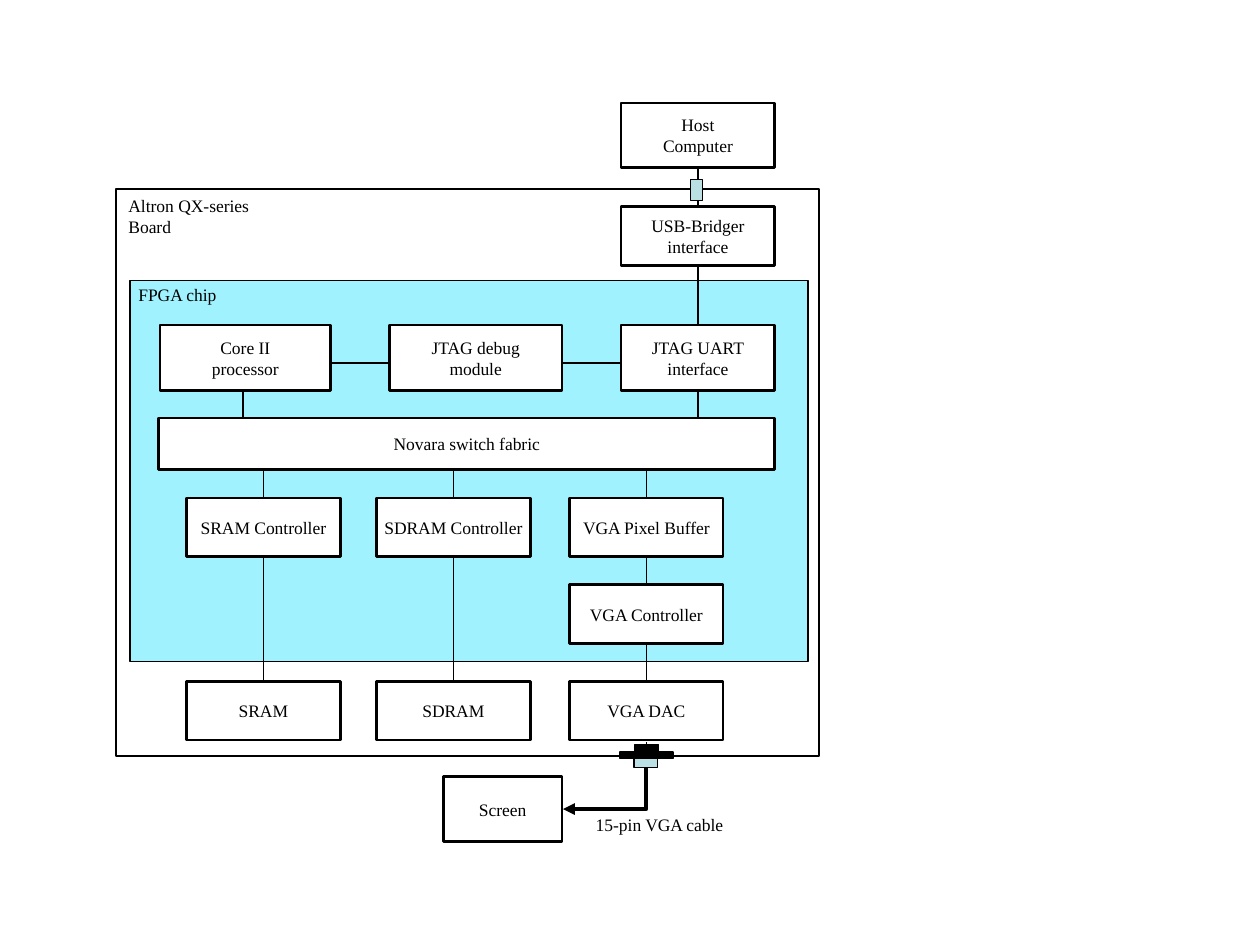
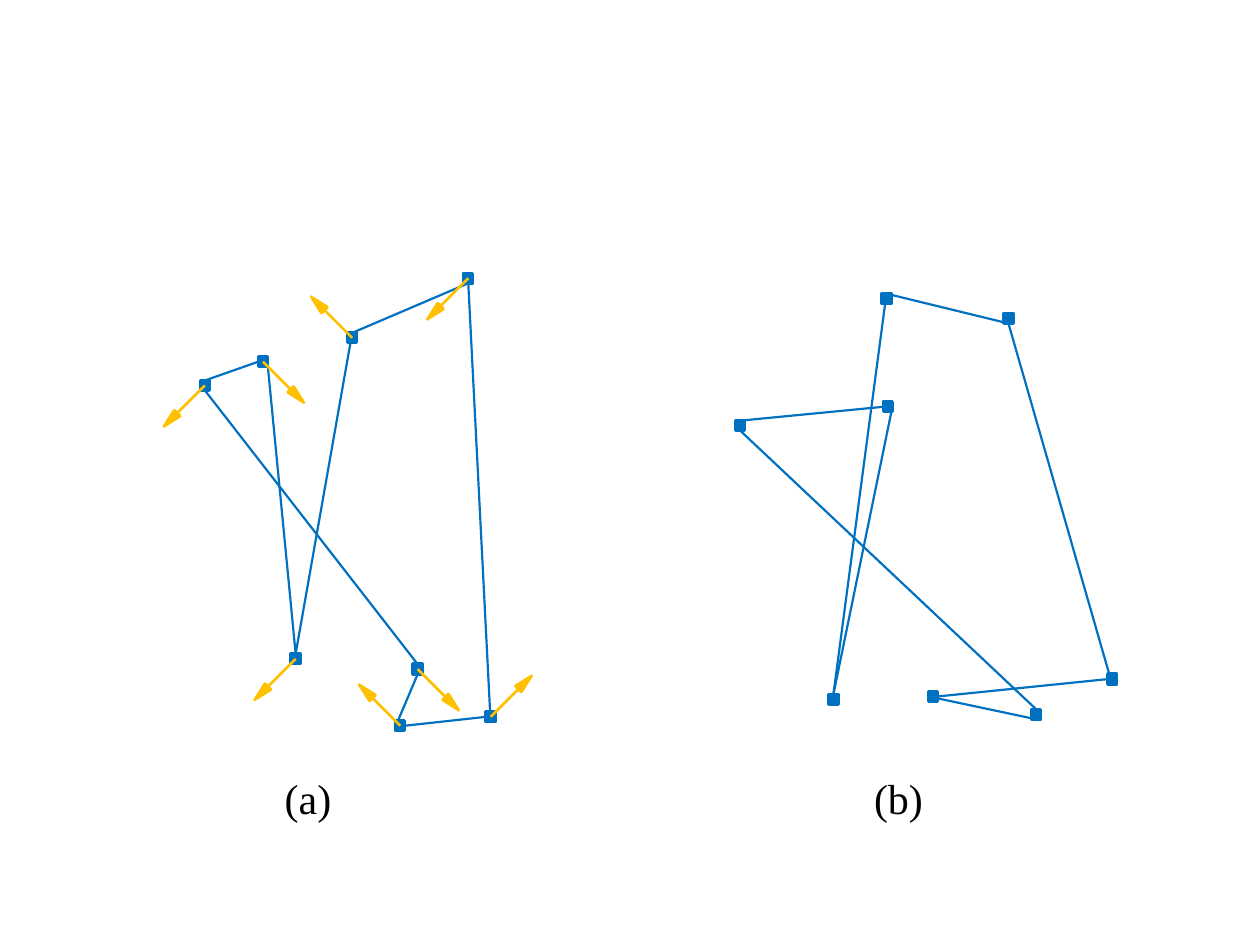
from dataclasses import dataclass
from math import atan2, degrees

from lxml.etree import SubElement
from pptx import Presentation
from pptx.dml.color import RGBColor
from pptx.enum.shapes import MSO_CONNECTOR as Wire, MSO_SHAPE as Form
from pptx.enum.text import MSO_ANCHOR as Anchor, MSO_AUTO_SIZE as Fit, PP_ALIGN as Align
from pptx.oxml.ns import qn
from pptx.util import Cm, Pt


@dataclass(frozen=True)
class Theme:
    font: str = "Times New Roman"
    ink: str = "000000"
    paper: str = "FFFFFF"
    chip: str = "A0F3FE"
    plug: str = "BBE0E3"
    node: str = "0070C0"
    arrow: str = "FFC000"
    label: int = 10
    mark: int = 24
    hair: float = 0.5
    thin: float = 0.75
    edge: float = 1.25
    rim: float = 1.5
    bold: float = 2
    cable: float = 2.25


class Deck:
    """Holds the style and the current slide; all lengths are centimetres."""

    def __init__(self, theme):
        self.theme = theme
        self.prs = Presentation()
        self.prs.slide_width, self.prs.slide_height = Cm(25.4), Cm(19.05)
        self.slide = None

    def page(self):
        self.slide = self.prs.slides.add_slide(self.prs.slide_layouts[6])

    def fill_text(self, frame, text, size, align):
        frame.text = text
        for para in frame.paragraphs:
            para.alignment = align
            for run in para.runs:
                run.font.name = self.theme.font
                run.font.size = Pt(size)
                run.font.color.rgb = RGBColor.from_string(self.theme.ink)

    def shape(self, x, y, w, h, fill, line, width, form=Form.RECTANGLE, host=None):
        item = (host or self.slide).shapes.add_shape(form, Cm(x), Cm(y), Cm(w), Cm(h))
        item.shadow.inherit = False
        if fill:
            item.fill.solid()
            item.fill.fore_color.rgb = RGBColor.from_string(fill)
        else:
            item.fill.background()
        item.line.color.rgb = RGBColor.from_string(line)
        item.line.width = Pt(width)
        return item

    def block(self, text, x, y, w, h):
        t = self.theme
        frame = self.shape(x, y, w, h, t.paper, t.ink, t.rim).text_frame
        frame.word_wrap = False
        frame.vertical_anchor = Anchor.MIDDLE
        self.fill_text(frame, text, t.label, Align.CENTER)

    def label(self, text, x, y, w, h, size, wrap=False):
        frame = self.slide.shapes.add_textbox(Cm(x), Cm(y), Cm(w), Cm(h)).text_frame
        frame.word_wrap = wrap
        frame.auto_size = Fit.SHAPE_TO_FIT_TEXT
        self.fill_text(frame, text, size, Align.LEFT)

    def line(self, x1, y1, x2, y2, color, width, kind=Wire.STRAIGHT, host=None):
        item = (host or self.slide).shapes.add_connector(
            kind, Cm(x1), Cm(y1), Cm(x2), Cm(y2))
        item.line.color.rgb = RGBColor.from_string(color)
        item.line.width = Pt(width)
        SubElement(item._element.spPr, qn("a:effectLst"))
        return item

    def elbow(self, x1, y1, x2, y2):
        """Run down, then left, to an arrowhead: a one-bend connector turned by 90 degrees."""
        w, h = y2 - y1, x1 - x2
        x, y = (x1 + x2 - w) / 2, (y1 + y2 - h) / 2
        item = self.line(x, y, x + w, y + h, self.theme.ink, self.theme.cable, Wire.ELBOW)
        props = item._element.spPr
        props.find(qn("a:xfrm")).set("rot", "5400000")
        props.find(qn("a:prstGeom")).set("prst", "bentConnector2")
        SubElement(props.find(qn("a:ln")), qn("a:tailEnd"), type="triangle")

    def arrow(self, x, y, dx, dy):
        """Draw a diagonal shaft with a slim triangle near its end."""
        reach, back, w, h = 0.84, 0.16, 0.15, 0.33
        t, group = self.theme, self.slide.shapes.add_group_shape()
        self.line(x, y, x + dx * reach, y + dy * reach, t.arrow, t.rim, host=group)
        cx, cy = x + dx * (reach - back), y + dy * (reach - back)
        head = self.shape(cx - w / 2, cy - h / 2, w, h, t.arrow, t.arrow, t.bold,
                          Form.ISOSCELES_TRIANGLE, group)
        head.rotation = degrees(atan2(dx, -dy)) % 360

    def graph(self, spots, links):
        """Draw the nodes and join them at their connection sites."""
        t = self.theme
        nodes = [self.shape(x, y, *NODE, t.node, t.node, t.bold) for x, y in spots]
        for a, side_a, b, side_b in links:
            item = self.line(0, 0, 1, 1, t.node, t.edge)
            item.begin_connect(nodes[a], side_a)
            item.end_connect(nodes[b], side_b)


theme = Theme()
deck = Deck(theme)

# Slide 1: block diagram of the board
deck.page()
deck.shape(2.62, 5.66, 13.67, 7.67, theme.chip, theme.ink, theme.thin)
deck.shape(2.34, 3.81, 14.17, 11.43, None, theme.ink, theme.thin)

# Shared columns and rows
WIDE, LOW, TALL = 3.1, 1.18, 1.32
SRAM, SDRAM, VGA, HOST = 3.76, 7.59, 11.48, 12.52
CORE, CTRL, VIDEO, CHIPS = 6.55, 10.04, 11.79, 13.74
mid = {col: col + WIDE / 2 for col in (SRAM, SDRAM, VGA, HOST)}

# Wires, behind the blocks
for x1, x2 in ((6.63, 7.87), (11.3, HOST)):
    deck.line(x1, 7.32, x2, 7.32, theme.ink, theme.thin)
drops = [
    (mid[HOST], 3.4, 4.14), (mid[HOST], 5.38, CORE),
    (mid[HOST], 7.77, 8.61), (4.9, 7.77, 8.61),
    (mid[VGA], 11.15, 11.96), (mid[VGA], 12.98, CHIPS), (mid[VGA], 14.96, 15.01),
]
drops += [(mid[col], 9.37, 10.19) for col in (SRAM, SDRAM, VGA)]
drops += [(mid[col], 11.23, CHIPS) for col in (SRAM, SDRAM)]
for x, top, end in drops:
    deck.line(x, top, x, end, theme.ink, theme.thin)

# Blocks
for text, x, y, w, h in (
    ("Host\nComputer", HOST, 2.08, WIDE, 1.3),
    ("USB-Bridger\ninterface", HOST, 4.17, WIDE, 1.19),
    ("Core II\nprocessor", 3.23, CORE, 3.43, TALL),
    ("JTAG debug\nmodule", 7.85, CORE, 3.48, TALL),
    ("JTAG UART\ninterface", HOST, CORE, WIDE, TALL),
    ("Novara switch fabric", 3.2, 8.43, 12.42, 1.04),
    ("SRAM Controller", SRAM, CTRL, WIDE, LOW),
    ("SDRAM Controller", SDRAM, CTRL, WIDE, LOW),
    ("VGA Pixel Buffer", VGA, CTRL, WIDE, LOW),
    ("VGA Controller", VGA, VIDEO, WIDE, LOW),
    ("SRAM", SRAM, CHIPS, WIDE, LOW),
    ("SDRAM", SDRAM, CHIPS, WIDE, LOW),
    ("VGA DAC", VGA, CHIPS, WIDE, LOW),
    ("Screen", 8.94, 15.65, 2.39, TALL),
):
    deck.block(text, x, y, w, h)

# Plugs and the cable to the screen
for x, y, w, h, fill, width in (
    (12.5, 15.16, 1.07, 0.13, theme.ink, theme.thin),
    (12.8, 15.01, 0.48, 0.15, theme.ink, theme.thin),
    (12.78, 15.29, 0.48, 0.18, theme.plug, theme.thin),
    (13.92, 3.61, 0.25, 0.43, theme.plug, theme.hair),
):
    deck.shape(x, y, w, h, fill, theme.ink, width)
deck.elbow(mid[VGA], 15.47, 11.35, 16.31)

# Labels
for text, x, y, w in (
    ("FPGA chip", 2.54, 5.61, 2.11),
    ("Altron QX-series Board", 2.34, 3.81, 3.86),
    ("15-pin VGA cable", 11.76, 16.28, 3.12),
):
    deck.label(text, x, y, w, 0.69, theme.label)

# Slide 2: one graph before and after its nodes move
deck.page()
NODE = (0.18, 0.2)
TOP, LEFT, BASE, RIGHT = range(4)
links = (
    (3, BASE, 7, LEFT), (7, RIGHT, 6, LEFT), (3, TOP, 0, BASE), (5, LEFT, 0, TOP),
    (5, RIGHT, 1, TOP), (1, TOP, 4, TOP), (2, BASE, 4, TOP), (2, BASE, 6, BASE),
)
start = ((4.04, 7.67), (5.87, 13.18), (9.35, 5.51), (8.33, 13.39),
         (7.01, 6.71), (5.21, 7.19), (9.8, 14.35), (7.98, 14.53))
final = ((14.83, 8.48), (16.71, 14), (20.24, 6.32), (20.8, 14.3),
         (17.78, 5.92), (17.81, 8.1), (22.33, 13.59), (18.72, 13.94))
for spots, text, x in ((start, "(a)", 5.49), (final, "(b)", 17.37)):
    deck.graph(spots, links)
    deck.label(text, x, 15.44, 1.68, 1.3, theme.mark, wrap=True)

# Direction of travel of each starting node
NW, NE, SW, SE = (-1, -1), (1, -1), (-1, 1), (1, 1)
for (x, y), (dx, dy) in zip(start, (SW, SW, SW, SE, NW, SE, NE, NW)):
    deck.arrow(x + NODE[0] / 2, y + NODE[1] / 2, dx, dy)

deck.prs.save("out.pptx")
